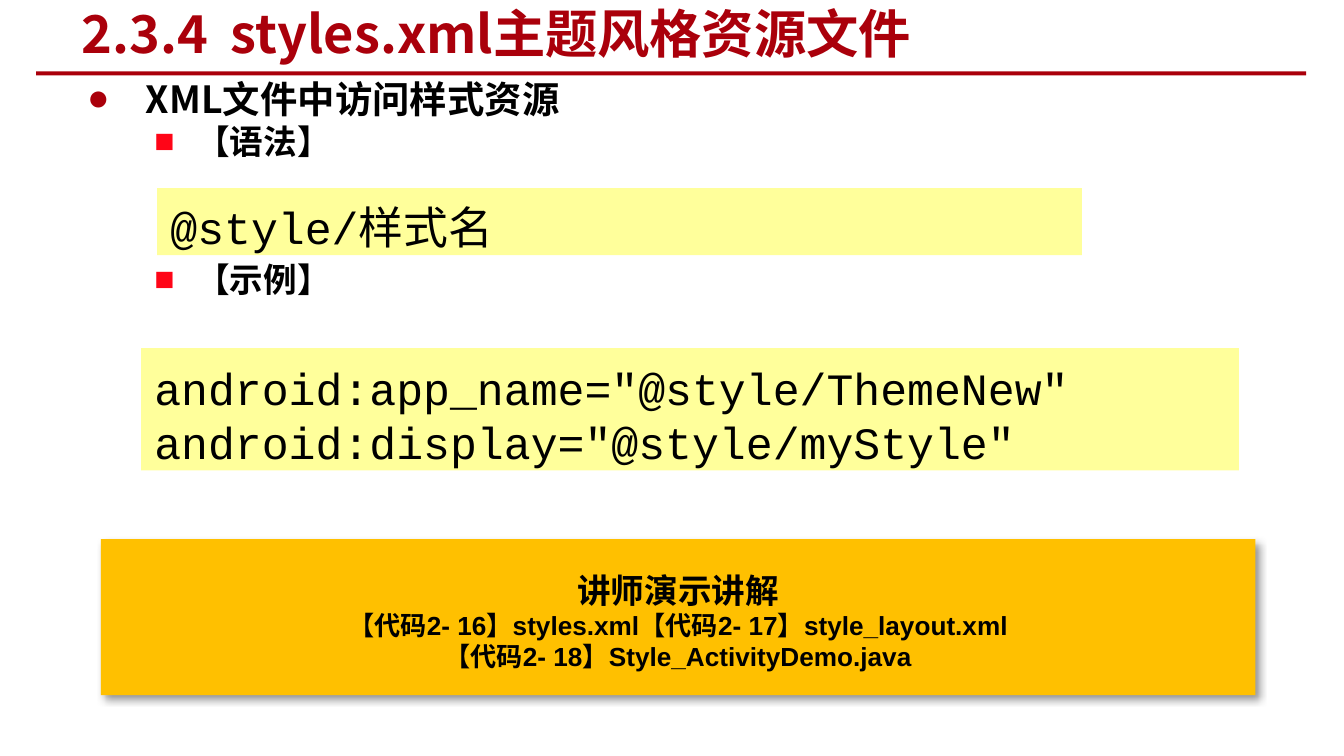
"""Build the slide on style resources in XML files."""
from dataclasses import dataclass

from lxml.etree import SubElement as Sub
from pptx import Presentation
from pptx.dml.color import RGBColor
from pptx.enum.shapes import MSO_SHAPE as Form
from pptx.enum.text import MSO_ANCHOR as Anchor, PP_ALIGN as Align
from pptx.oxml.ns import qn
from pptx.util import Pt

RED = RGBColor(0xAA, 0x00, 0x0B)
BRIGHT = RGBColor(0xFF, 0x05, 0x17)
BLACK = RGBColor(0, 0, 0)
CREAM = RGBColor(0xFF, 0xFF, 0x9B)
AMBER = RGBColor(0xFF, 0xC0, 0x00)
SANS, MONO, LATIN = "Noto Sans CJK SC", "Courier New", "Arial"


@dataclass
class Box:
    left: float
    top: float
    width: float
    height: float


@dataclass
class Line:
    text: str
    size: float
    face: str = SANS
    bold: bool = True
    color: RGBColor = BLACK
    pitch: float | None = None


@dataclass
class Point:
    line: Line
    mark: str
    tint: RGBColor
    left: float
    hang: float
    gap: float = 0


def write(par, line: Line) -> None:
    """Put one styled line into a paragraph."""
    par.text = line.text
    if line.pitch:
        par.line_spacing = Pt(line.pitch)
    for run in par.runs:
        font = run.font
        font.name, font.size, font.bold = line.face, Pt(line.size), line.bold
        font.color.rgb = line.color
        Sub(run._r.get_or_add_rPr(), qn("a:ea"), typeface=SANS)


def fill(frame, lines: list[Line], align: Align = Align.LEFT) -> None:
    """Write lines as the paragraphs of a frame."""
    for i, line in enumerate(lines):
        par = frame.add_paragraph() if i else frame.paragraphs[0]
        par.alignment = align
        write(par, line)


def place(shape, box: Box) -> None:
    """Move and size a shape."""
    shape.left, shape.top = Pt(box.left), Pt(box.top)
    shape.width, shape.height = Pt(box.width), Pt(box.height)


def panel(slide, box: Box, color: RGBColor):
    """Add a plain filled rectangle."""
    shape = slide.shapes.add_shape(Form.RECTANGLE, 0, 0, 0, 0)
    place(shape, box)
    shape.shadow.inherit = False
    shape.fill.solid()
    shape.fill.fore_color.rgb = color
    shape.line.fill.background()
    return shape


def code(slide, box: Box, rows: list[str]) -> None:
    """Add a panel of code."""
    frame = panel(slide, box, CREAM).text_frame
    frame.word_wrap, frame.vertical_anchor = True, Anchor.MIDDLE
    frame.margin_top, frame.margin_bottom = Pt(6.3), Pt(1)
    fill(frame, [Line(row, 24, MONO, False, pitch=29) for row in rows])


def shade(shape) -> None:
    """Give a shape a soft shadow to the lower right."""
    list_ = shape._element.spPr.find(qn("a:effectLst"))
    glow = Sub(list_, qn("a:outerShdw"), blurRad=str(Pt(4)), dist=str(Pt(3)),
               dir="2700000", algn="tl", rotWithShape="0")
    tone = Sub(glow, qn("a:srgbClr"), val=str(BLACK))
    Sub(tone, qn("a:alpha"), val="40000")


def bullet(par, point: Point) -> None:
    """Write a paragraph with a coloured mark."""
    props = par._p.get_or_add_pPr()
    props.set("marL", str(Pt(point.left)))
    props.set("indent", str(Pt(-point.hang)))
    Sub(Sub(props, qn("a:buClr")), qn("a:srgbClr"), val=str(point.tint))
    Sub(props, qn("a:buFont"), typeface=LATIN)
    Sub(props, qn("a:buChar"), char=point.mark)
    if point.gap:
        par.space_before = Pt(point.gap)
    write(par, point.line)


def head(slide) -> None:
    """Fill the title and draw the rule below it."""
    title = slide.shapes.title
    place(title, Box(36.7, 1.4, 480, 32.4))
    frame = title.text_frame
    frame.word_wrap, frame.vertical_anchor = True, Anchor.MIDDLE
    fill(frame, [Line("2.3.4\tstyles.xml主题风格资源文件", 28, color=RED)])
    tabs = Sub(frame.paragraphs[0]._p.get_or_add_pPr(), qn("a:tabLst"))
    Sub(tabs, qn("a:tab"), pos=str(Pt(79.8)), algn="l")
    panel(slide, Box(19.4, 38.2, 680.4, 2.2), RED)


def body(slide) -> None:
    """Add the bulleted text."""
    points = [
        Point(Line("XML文件中访问样式资源", 20), "●", RED, 31.5, 31.5),
        Point(Line("【语法】", 18), "■", BRIGHT, 58.5, 22.5),
        Point(Line("【示例】", 18), "■", BRIGHT, 58.5, 22.5, 52.7),
    ]
    shape = slide.shapes.add_textbox(0, 0, 0, 0)
    place(shape, Box(39.6, 37, 618.5, 145))
    frame = shape.text_frame
    frame.word_wrap = True
    for i, point in enumerate(points):
        bullet(frame.add_paragraph() if i else frame.paragraphs[0], point)


def demo(slide) -> None:
    """Add the shaded panel that lists the demo files."""
    shape = panel(slide, Box(54, 288.9, 618.5, 83.5), AMBER)
    shade(shape)
    frame = shape.text_frame
    frame.word_wrap, frame.vertical_anchor = True, Anchor.TOP
    frame.margin_top = Pt(12)
    rows = ["【代码2- 16】styles.xml【代码2- 17】style_layout.xml",
            "【代码2- 18】Style_ActivityDemo.java"]
    fill(frame, [Line("讲师演示讲解", 18, pitch=26)]
         + [Line(row, 14, LATIN, pitch=16.5) for row in rows], Align.CENTER)


def main() -> None:
    """Build and save the deck."""
    deck = Presentation()
    deck.slide_width, deck.slide_height = Pt(720), Pt(405)
    slide = deck.slides.add_slide(deck.slide_layouts[5])
    head(slide)
    body(slide)
    code(slide, Box(84.2, 100.8, 495.4, 36), ["@style/样式名"])
    code(slide, Box(75.6, 186.5, 588.2, 65.5),
         ['android:app_name="@style/ThemeNew"',
          'android:display="@style/myStyle"'])
    demo(slide)
    deck.save("out.pptx")


if __name__ == "__main__":
    main()
